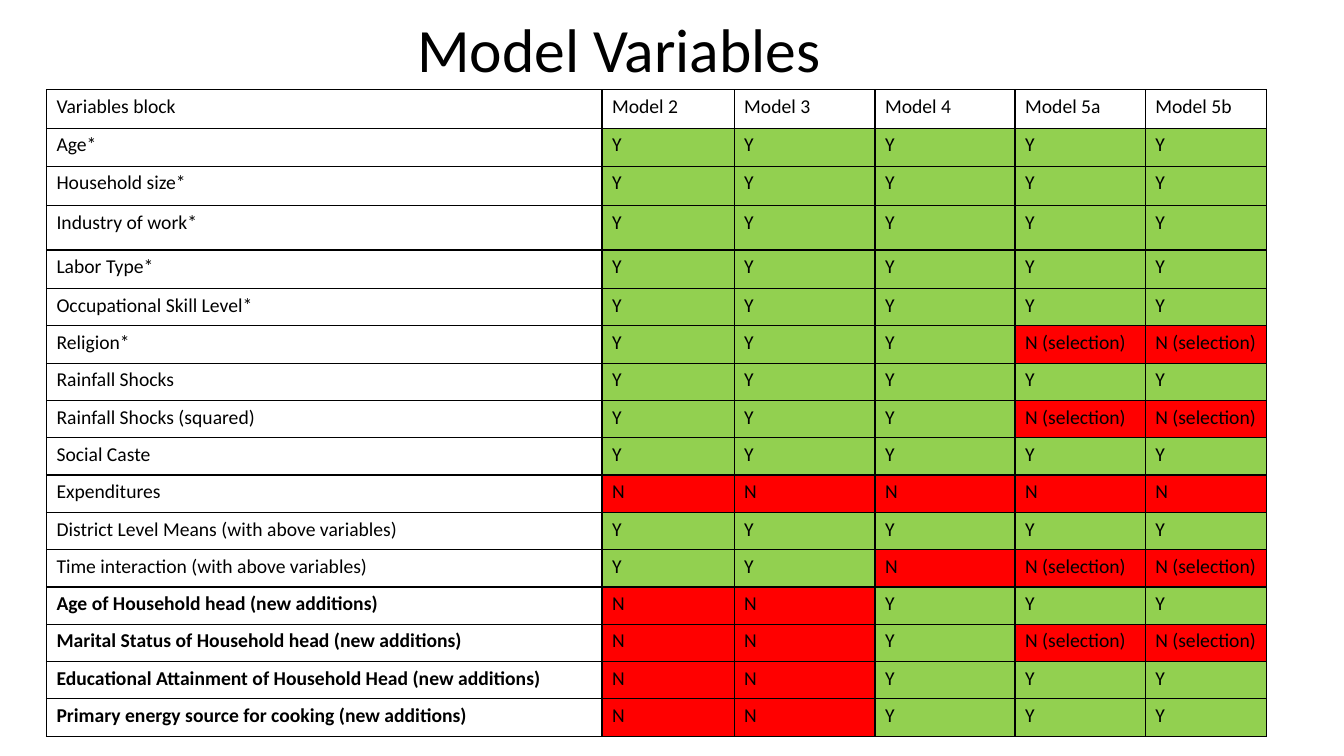
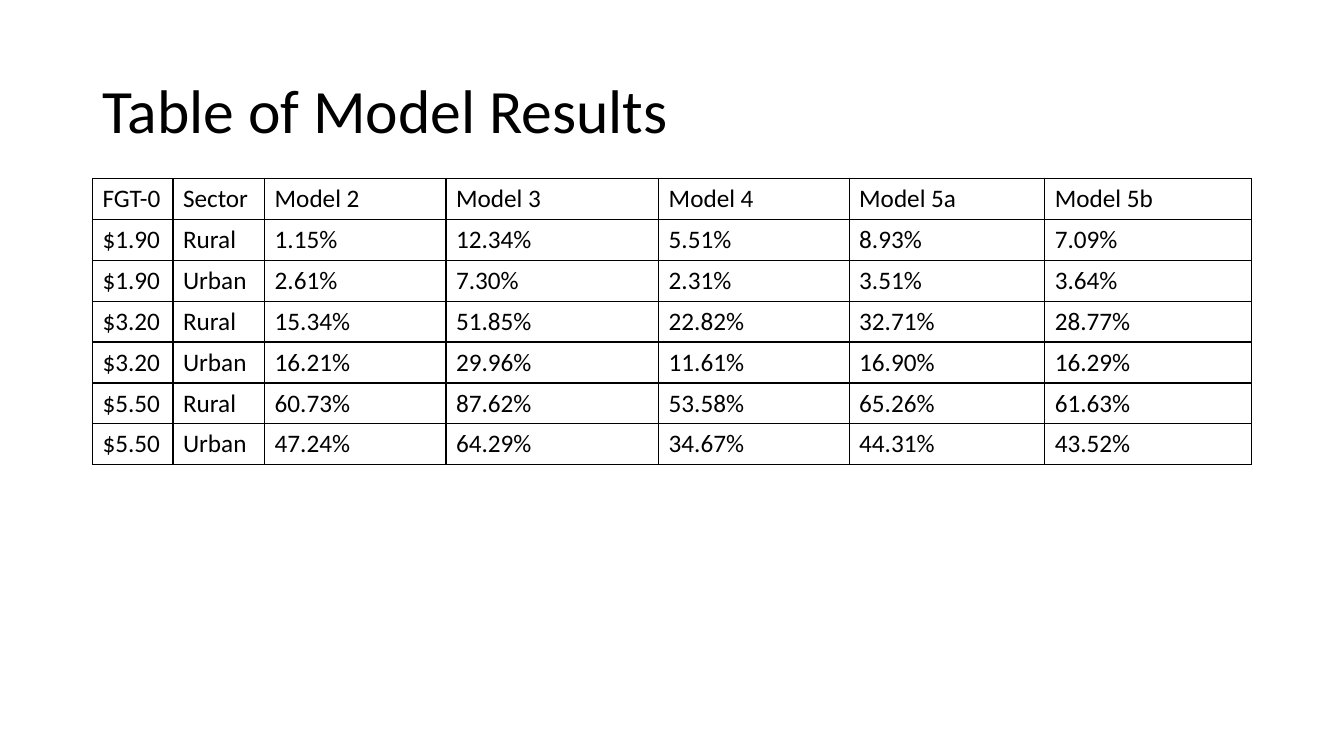
import pptx
import pptx.util
import pptx.dml.color
import pptx.enum.text
import pptx.oxml
import pptx.oxml.ns

FONT = "Calibri"
BLACK, WHITE, GREEN, RED = "000000", "FFFFFF", "92D050", "FF0000"
BORDER = (
    '<a:{side} {ns} w="12700"><a:solidFill><a:srgbClr val="{color}"/></a:solidFill>'
    '<a:prstDash val="solid"/></a:{side}>'
)
Cm = pptx.util.Cm


def rgb(color):
    return pptx.dml.color.RGBColor.from_string(color)


def write(tf, text, size=18, bold=False, color=BLACK, align=None, spacing=None):
    p = tf.paragraphs[0]
    p.alignment = align
    p.line_spacing = spacing
    r = p.add_run()
    r.text = text
    r.font.name = FONT
    r.font.size = pptx.util.Pt(size)
    r.font.bold = bold
    r.font.color.rgb = rgb(color)


models = ["Model 2", "Model 3", "Model 4", "Model 5a", "Model 5b"]
marks = {"Y": "Y", "N": "N", "S": "N (selection)"}
blocks = [
    ("Age*", "YYYYY"),
    ("Household size*", "YYYYY"),
    ("Industry of work*", "YYYYY"),
    ("Labor Type*", "YYYYY"),
    ("Occupational Skill Level*", "YYYYY"),
    ("Religion*", "YYYSS"),
    ("Rainfall Shocks", "YYYYY"),
    ("Rainfall Shocks (squared)", "YYYSS"),
    ("Social Caste", "YYYYY"),
    ("Expenditures", "NNNNN"),
    ("District Level Means (with above variables)", "YYYYY"),
    ("Time interaction (with above variables)", "YYNSS"),
    ("Age of Household head (new additions)", "NNYYY"),
    ("Marital Status of Household head (new additions)", "NNYSS"),
    ("Educational Attainment of Household Head (new additions)", "NNYYY"),
    ("Primary energy source for cooking (new additions)", "NNYYY"),
]
variables = [["Variables block"] + models]
variables += [[name] + [marks[c] for c in codes] for name, codes in blocks]
results = [
    ["FGT-0", "Sector"] + models,
    ["$1.90", "Rural", "1.15%", "12.34%", "5.51%", "8.93%", "7.09%"],
    ["$1.90", "Urban", "2.61%", "7.30%", "2.31%", "3.51%", "3.64%"],
    ["$3.20", "Rural", "15.34%", "51.85%", "22.82%", "32.71%", "28.77%"],
    ["$3.20", "Urban", "16.21%", "29.96%", "11.61%", "16.90%", "16.29%"],
    ["$5.50", "Rural", "60.73%", "87.62%", "53.58%", "65.26%", "61.63%"],
    ["$5.50", "Urban", "47.24%", "64.29%", "34.67%", "44.31%", "43.52%"],
]

slides = [
    dict(
        title="Model Variables ",
        align=pptx.enum.text.PP_ALIGN.CENTER,
        title_box=(1.17, 0, 29.21, 2.64),
        left=1.17,
        top=2.26,
        size=14,
        rows=variables,
        widths=[14, 3.33, 3.55, 3.53, 3.28, 3.05],
        heights=[0.97, 0.96, 0.99, 1.12, 0.97] + [0.94] * 12,
    ),
    dict(
        title="Table of Model Results",
        align=pptx.enum.text.PP_ALIGN.LEFT,
        title_box=(2.33, 1.01, 29.21, 3.68),
        left=2.33,
        top=4.5,
        size=18,
        rows=results,
        widths=[2.03, 2.31, 4.57, 5.36, 4.8, 4.93, 5.21],
        heights=[1.03] * 7,
    ),
]
fills = {"Y": GREEN, "N": RED, "N (selection)": RED}

prs = pptx.Presentation()
prs.slide_width = Cm(33.87)
prs.slide_height = Cm(19.05)

for page in slides:
    s = prs.slides.add_slide(prs.slide_layouts[5])
    sp = s.shapes.title
    sp.left, sp.top, sp.width, sp.height = [Cm(v) for v in page["title_box"]]
    tf = sp.text_frame
    tf.word_wrap = True
    tf.auto_size = pptx.enum.text.MSO_AUTO_SIZE.NONE
    tf.vertical_anchor = pptx.enum.text.MSO_ANCHOR.MIDDLE
    write(tf, page["title"], size=44, align=page["align"], spacing=0.9)

    rows, widths, heights = page["rows"], page["widths"], page["heights"]
    tbl = s.shapes.add_table(
        len(rows), len(widths), Cm(page["left"]), Cm(page["top"]),
        Cm(sum(widths)), Cm(sum(heights)),
    ).table
    tbl.first_row = False
    tbl.horz_banding = False
    for col, width in zip(tbl.columns, widths):
        col.width = Cm(width)
    for row, height, texts in zip(tbl.rows, heights, rows):
        row.height = Cm(height)
        for cell, text in zip(row.cells, texts):
            write(cell.text_frame, text, size=page["size"], bold="(new additions)" in text)
            tcPr = cell._tc.get_or_add_tcPr()
            for side in ("lnL", "lnR", "lnT", "lnB"):
                xml = BORDER.format(side=side, ns=pptx.oxml.ns.nsdecls("a"), color=BLACK)
                tcPr.append(pptx.oxml.parse_xml(xml))
            cell.fill.solid()
            cell.fill.fore_color.rgb = rgb(fills.get(text, WHITE))

prs.save("out.pptx")
